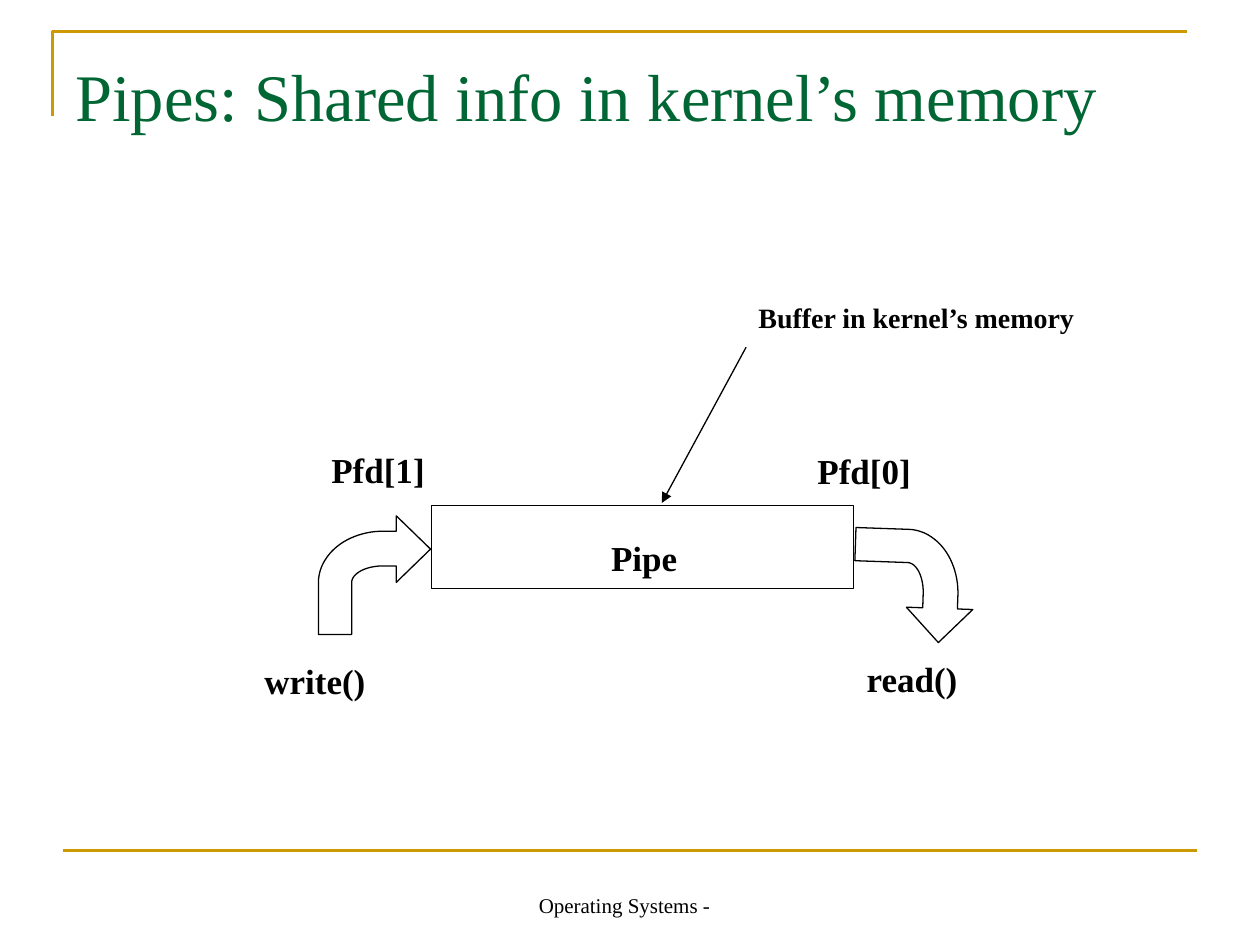
from dataclasses import dataclass
from math import cos, pi, sin

from lxml.etree import SubElement
from pptx import Presentation
from pptx.dml.color import RGBColor
from pptx.enum.shapes import MSO_CONNECTOR, MSO_SHAPE
from pptx.enum.text import MSO_ANCHOR, MSO_AUTO_SIZE, PP_ALIGN
from pptx.oxml.ns import qn
from pptx.util import Cm, Pt


@dataclass(frozen=True)
class Theme:
    font: str = "Times New Roman"
    ink: str = "000000"
    green: str = "006633"
    gold: str = "CC9900"
    white: str = "FFFFFF"
    title: float = 38
    label: float = 20
    note: float = 16
    foot: float = 12
    thin: float = 0.75
    thick: float = 1.5


THEME = Theme()


def apply(item, values):
    for name, value in values.items():
        setattr(item, name, value)


def stroke(item, color, width):
    item.line.color.rgb = RGBColor.from_string(color)
    item.line.width = Pt(width)


def outline(shape, color, width):
    shape.shadow.inherit = False
    shape.fill.background()
    stroke(shape, color, width)


def write(shape, text, size, color=THEME.ink, bold=False, frame=None, para=None):
    body = shape.text_frame
    apply(body, {"word_wrap": True, **(frame or {})})
    line = body.paragraphs[0]
    apply(line, {"alignment": PP_ALIGN.LEFT, **(para or {})})
    run = line.add_run()
    run.text = text
    apply(run.font, {"name": THEME.font, "size": Pt(size), "bold": bold})
    run.font.color.rgb = RGBColor.from_string(color)


def text_box(slide, box, text, size, **style):
    shape = slide.shapes.add_textbox(*map(Cm, box))
    write(shape, text, size, **style)


def line(slide, start, end, color, width, head=False):
    link = slide.shapes.add_connector(
        MSO_CONNECTOR.STRAIGHT, *map(Cm, (*start, *end)))
    stroke(link, color, width)
    props = link._element.spPr
    if head:
        SubElement(props.find(qn("a:ln")), qn("a:tailEnd"), type="triangle")
    SubElement(props, qn("a:effectLst"))


def trace(slide, points, color, width, close):
    spots = [(Cm(x), Cm(y)) for x, y in points]
    maker = slide.shapes.build_freeform(*spots[0])
    maker.add_line_segments(spots[1:], close=close)
    shape = maker.convert_to_shape()
    outline(shape, color, width)
    return shape


def arc(mid, wide, tall, start, end, steps=24):
    turns = [start + (end - start) * i / steps for i in range(steps + 1)]
    return [(mid[0] - wide * cos(t), mid[1] - tall * sin(t)) for t in turns]


def bent_arrow(slide, box, turn=0):
    left, top, width, height = box
    shaft, head, bend = 0.67, 1.57, 1.3
    mid = (bend, 1.35)
    points = [
        (width, shaft), (head, 0), (head, 0.31),
        *arc(mid, bend, 1.04, pi / 2, 0),
        (0, height), (shaft, height),
        *arc(mid, bend - shaft, 0.34, 0, pi / 2),
        (head, 1.01), (head, 2 * shaft),
    ]
    moved = [(left + x, top + y) for x, y in points]
    shape = trace(slide, moved, THEME.ink, THEME.thin, True)
    shape.rotation = turn


def frame(slide, box):
    left, top, width, height = box
    right = left + width
    corner = [(left, top + 1.7), (left, top), (right, top)]
    trace(slide, corner, THEME.gold, THEME.thick, False)
    base = top + height
    line(slide, (left + 0.2, base), (right + 0.2, base), THEME.gold, THEME.thick)


def heading(slide, box):
    text_box(slide, box, "Pipes: Shared info in kernel’s memory", THEME.title,
             color=THEME.green, frame={"vertical_anchor": MSO_ANCHOR.MIDDLE})


def footer(slide, box):
    text_box(slide, box, "Operating Systems -", THEME.foot,
             frame={"vertical_anchor": MSO_ANCHOR.BOTTOM, "margin_right": Cm(0.5)},
             para={"alignment": PP_ALIGN.CENTER})


def flow(slide, box):
    left, top, width, height = box
    pipe = slide.shapes.add_shape(
        MSO_SHAPE.RECTANGLE, *map(Cm, (left + 3.62, top + 1.27, 8.51, 1.68)))
    outline(pipe, THEME.ink, THEME.thin)
    bent_arrow(slide, (left + 1.34, top + 1.48, 2.26, 2.39))
    bent_arrow(slide, (left + 12.21, top + 1.68, 2.26, 2.41), 92)
    tall = 1.12
    low = height - tall
    labels = [
        ("Pipe", 6.99, 1.78, 2),
        ("write()", 0, low, 2.6),
        ("read()", width - 2.34, low - 0.05, 2.4),
        ("Pfd[1]", 1.35, 0, 2.45),
        ("Pfd[0]", 11.15, 0.02, 2.45),
    ]
    fit = {"word_wrap": False, "auto_size": MSO_AUTO_SIZE.SHAPE_TO_FIT_TEXT}
    for text, x, y, wide in labels:
        text_box(slide, (left + x, top + y, wide, tall), text, THEME.label,
                 bold=True, frame=fit)


def note(slide, box):
    left, top, width, height = box
    label = slide.shapes.add_shape(
        MSO_SHAPE.RECTANGLE, *map(Cm, (left, top, width, 0.94)))
    outline(label, THEME.white, THEME.thin)
    label.fill.solid()
    label.fill.fore_color.rgb = RGBColor.from_string(THEME.white)
    write(label, "Buffer in kernel’s memory", THEME.note, bold=True,
          frame={"vertical_anchor": MSO_ANCHOR.TOP,
                 "auto_size": MSO_AUTO_SIZE.SHAPE_TO_FIT_TEXT},
          para={"space_before": Pt(10)})
    line(slide, (left, top + 1.07), (left - 1.7, top + height),
         THEME.ink, THEME.thin, True)


def main():
    deck = Presentation()
    apply(deck, {"slide_width": Cm(25.4), "slide_height": Cm(19.05)})
    slide = deck.slides.add_slide(deck.slide_layouts[6])
    frame(slide, (1.06, 0.63, 22.86, 16.52))
    footer(slide, (8.69, 17.35, 8.05, 1.27))
    heading(slide, (1.27, 0.33, 22.86, 3.18))
    flow(slide, (5.08, 8.92, 14.48, 5.38))
    note(slide, (15.04, 5.93, 7.39, 4.21))
    deck.save("out.pptx")


if __name__ == "__main__":
    main()
